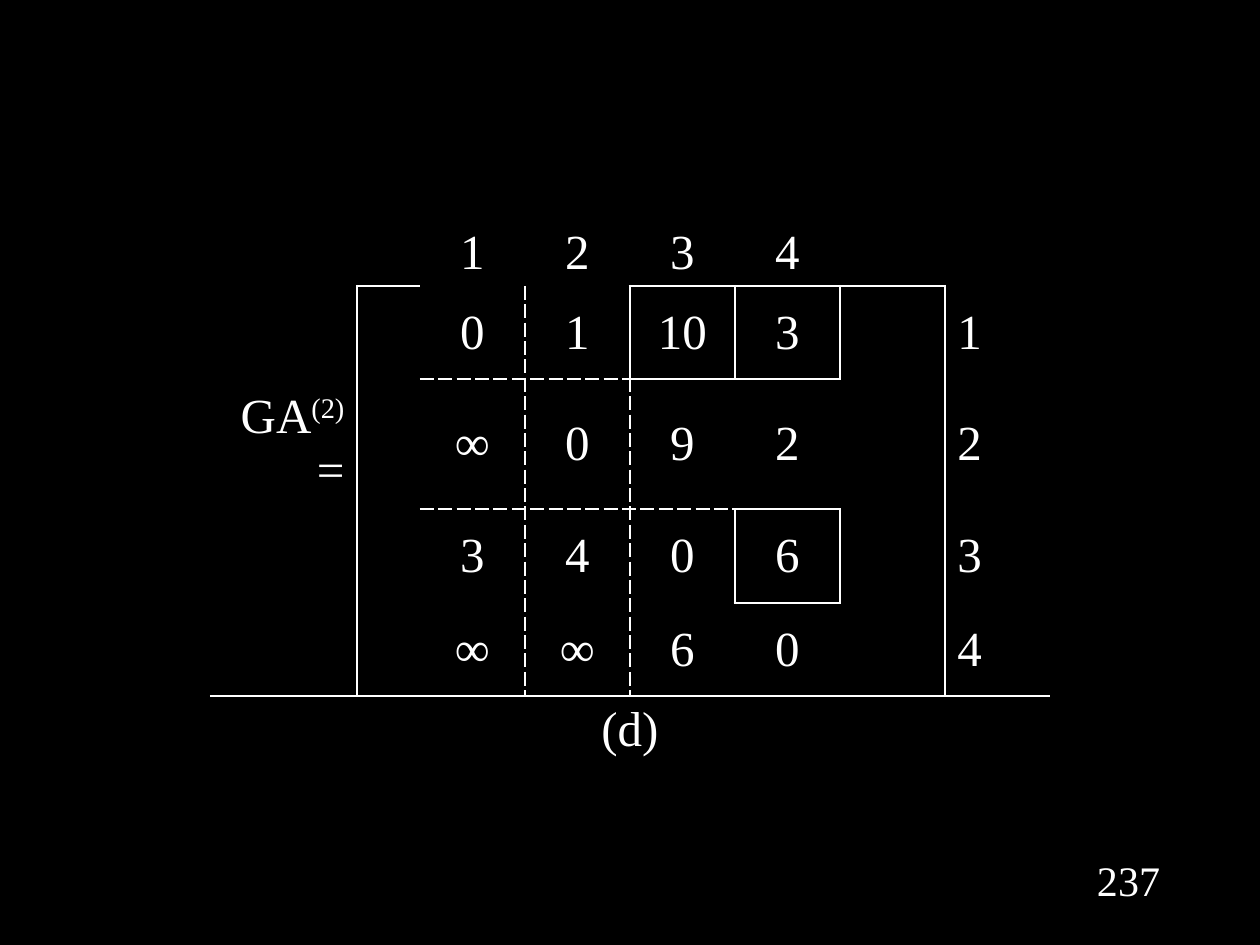
from lxml import etree
from pptx import Presentation
from pptx.dml.color import RGBColor
from pptx.enum.text import MSO_ANCHOR, PP_ALIGN
from pptx.oxml.ns import qn
from pptx.util import Pt

PX = 914400 // 126
BLACK = RGBColor(0x00, 0x00, 0x00)
WHITE = RGBColor(0xFF, 0xFF, 0xFF)
LEFT, CENTER, RIGHT = PP_ALIGN.LEFT, PP_ALIGN.CENTER, PP_ALIGN.RIGHT
TOP, MIDDLE, BOTTOM = MSO_ANCHOR.TOP, MSO_ANCHOR.MIDDLE, MSO_ANCHOR.BOTTOM
FONT = "Times New Roman"
BORDER_WIDTH = Pt(1.5)


def write(paragraph, text, size, align):
    paragraph.alignment = align
    run = paragraph.add_run()
    run.text = text
    for name, value in {"name": FONT, "size": Pt(size)}.items():
        setattr(run.font, name, value)
    run.font.color.rgb = WHITE
    return run


def add_border(cell, side, dash):
    line = etree.SubElement(cell._tc.get_or_add_tcPr(), qn(f"a:ln{side}"), w=str(BORDER_WIDTH))
    if dash is None:
        etree.SubElement(line, qn("a:noFill"))
        return
    fill = etree.SubElement(line, qn("a:solidFill"))
    etree.SubElement(fill, qn("a:srgbClr"), val=str(WHITE))
    etree.SubElement(line, qn("a:prstDash"), val=dash)


prs = Presentation()
prs.slide_width, prs.slide_height = 1260 * PX, 945 * PX
slide = prs.slides.add_slide(prs.slide_layouts[6])
slide.background.fill.solid()
slide.background.fill.fore_color.rgb = BLACK

# Page number
page_number = slide.shapes.add_textbox(1081 * PX, 848 * PX, 95 * PX, 63 * PX).text_frame
page_number.word_wrap = True
write(page_number.paragraphs[0], "237", 24, CENTER)

# Matrix with column numbers above, row numbers at the right and a caption below
matrix_rows = [
    ["", "", "1", "2", "3", "4", "", ""],
    ["", "", "0", "1", "10", "3", "", "1"],
    ["GA", "", "∞", "0", "9", "2", "", "2"],
    ["", "", "3", "4", "0", "6", "", "3"],
    ["", "", "∞", "∞", "6", "0", "", "4"],
    ["(d)", "", "", "", "", "", "", ""],
]
column_widths = [147, 63] + [105] * 6
row_heights = [93, 93, 130, 94, 93, 94]
matrix = slide.shapes.add_table(len(row_heights), len(column_widths), 210 * PX, 193 * PX,
                                sum(column_widths) * PX, sum(row_heights) * PX).table
matrix.first_row = matrix.horz_banding = False
for column, width in zip(matrix.columns, column_widths):
    column.width = width * PX
for row, height in zip(matrix.rows, row_heights):
    row.height = height * PX

# Rules: (boundary, first cell, last cell, dash)
horizontal_rules = [
    (1, 1, 1, "solid"), (1, 4, 6, "solid"),
    (2, 2, 3, "dash"), (2, 4, 5, "solid"),
    (3, 2, 4, "dash"), (3, 5, 5, "solid"),
    (4, 5, 5, "solid"), (5, 0, 7, "solid"),
]
vertical_rules = [
    (1, 1, 4, "solid"), (7, 1, 4, "solid"),
    (3, 1, 4, "dash"), (4, 1, 1, "solid"), (4, 2, 4, "dash"),
    (5, 1, 1, "solid"), (5, 3, 3, "solid"),
    (6, 1, 1, "solid"), (6, 3, 3, "solid"),
]
borders = {}
for boundary, first, last, dash in horizontal_rules:
    for c in range(first, last + 1):
        borders[boundary, c, "T"] = borders[boundary - 1, c, "B"] = dash
for boundary, first, last, dash in vertical_rules:
    for r in range(first, last + 1):
        borders[r, boundary, "L"] = borders[r, boundary - 1, "R"] = dash

# Cell text, borders and fill
row_anchors = [BOTTOM, MIDDLE, MIDDLE, MIDDLE, MIDDLE, TOP]
for r, values in enumerate(matrix_rows):
    for c, value in enumerate(values):
        cell = matrix.cell(r, c)
        cell.vertical_anchor = row_anchors[r]
        if value:
            align = LEFT if c == 7 else RIGHT if value == "GA" else CENTER
            write(cell.text_frame.paragraphs[0], value, 28, align)
        for side in "LRTB":
            add_border(cell, side, borders.get((r, c, side)))
        cell.fill.background()

# Rest of the matrix name
matrix_name = matrix.cell(2, 0).text_frame.paragraphs[0]
exponent = write(matrix_name, "(2)", 28, RIGHT)
exponent.font._element.set("baseline", "30000")
write(matrix_name, "=", 28, RIGHT)

# Caption across the whole width
matrix.cell(5, 0).merge(matrix.cell(5, 7))

prs.save("out.pptx")
